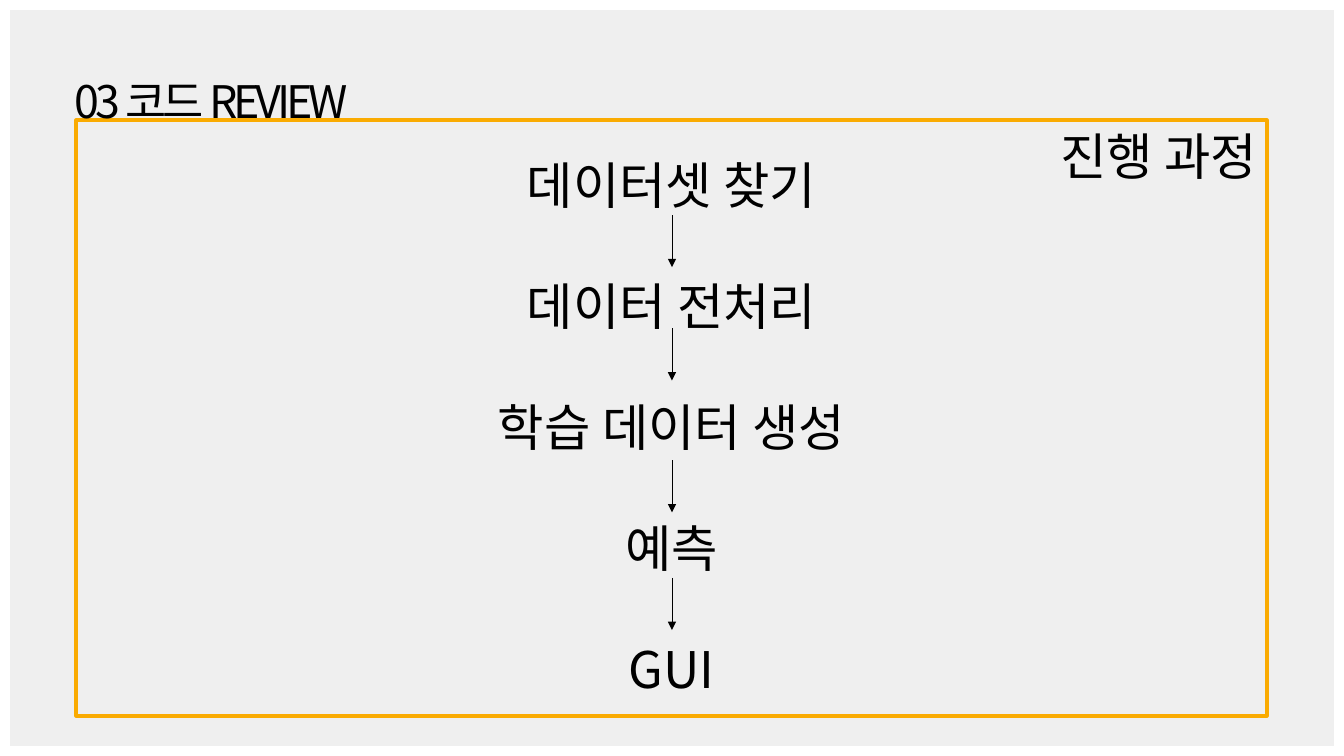
"""Build the process-overview slide of the code review section."""
from dataclasses import dataclass

from lxml.etree import SubElement
from pptx import Presentation
from pptx.dml.color import RGBColor
from pptx.enum.shapes import MSO_CONNECTOR as Connector, MSO_SHAPE as Shape
from pptx.enum.text import MSO_ANCHOR as Anchor, MSO_AUTO_SIZE as AutoSize, PP_ALIGN as Align
from pptx.oxml.ns import qn
from pptx.util import Inches, Pt

BLACK = RGBColor(0x00, 0x00, 0x00)
WHITE = RGBColor(0xFF, 0xFF, 0xFF)
ORANGE = RGBColor(0xFA, 0xAB, 0x01)
PALE_GRAY = RGBColor(0xEF, 0xEF, 0xEF)
FONT = "Noto Sans CJK KR"
WIDTH, HEIGHT = Inches(13.333), Inches(7.5)
COLUMNS, ROWS = 16, 9
LEADING = 1.2
STEPS = ["데이터셋 찾기", "데이터 전처리", "학습 데이터 생성", "예측", "GUI"]
ARROW_ROWS = [2.56, 3.91, 5.48, 6.88]
ARROW_LENGTH = 0.62


@dataclass(frozen=True)
class Area:
    """A rectangle in grid columns and rows."""

    column: float
    row: float
    columns: float
    rows: float

    def box(self) -> tuple[int, int, int, int]:
        """Return left, top, width and height as slide lengths."""
        return (across(self.column), down(self.row), across(self.columns), down(self.rows))


PAGE = Area(0, 0, COLUMNS, ROWS)
PANEL = Area(0.91, 1.43, 14.17, 7.09)
TITLE = Area(0.77, 0.82, 3.56, 0.77)
HEADING = Area(6.36, 1.43, 8.72, 0.85)
PROCESS = Area(0.91, 1.78, 14.17, 6.66)


def across(columns: float) -> int:
    """Convert grid columns to a slide length."""
    return round(WIDTH * columns / COLUMNS)


def down(rows: float) -> int:
    """Convert grid rows to a slide length."""
    return round(HEIGHT * rows / ROWS)


def place(box, area: Area) -> None:
    """Move and size a shape to its area."""
    box.left, box.top, box.width, box.height = area.box()


def write(box, lines: list[str], *, size: float, align: Align, gap: float = 0,
          spacing: int = 0, tab: float = 0) -> None:
    """Fill a text shape with one formatted paragraph per line."""
    frame = box.text_frame
    frame.word_wrap = True
    frame.auto_size = AutoSize.NONE
    frame.vertical_anchor = Anchor.TOP
    for index, line in enumerate(lines):
        para = frame.add_paragraph() if index else frame.paragraphs[0]
        para.alignment = align
        para.line_spacing = Pt(size * LEADING)
        para.space_before = Pt(gap if index else 0)
        para.space_after = Pt(0)
        properties = para._p.get_or_add_pPr()
        properties.set("marL", "0")
        properties.set("indent", "0")
        SubElement(properties, qn("a:buNone"))
        if tab:
            stops = SubElement(properties, qn("a:tabLst"))
            SubElement(stops, qn("a:tab"), pos=str(Inches(tab)), algn="l")
        span = para.add_run()
        span.text = line
        span.font.size = Pt(size)
        span.font.name = FONT
        span.font.color.rgb = BLACK
        run_properties = span.font._element
        if spacing:
            run_properties.set("spc", str(spacing * 100))
        SubElement(run_properties, qn("a:ea"), typeface=FONT)


def add_panel(page) -> None:
    """Draw the orange outline around the process."""
    panel = page.shapes.add_shape(Shape.RECTANGLE, *PANEL.box())
    panel.shadow.inherit = False
    panel.fill.background()
    panel.line.color.rgb = ORANGE
    panel.line.width = Pt(2.75)


def add_border(page) -> None:
    """Draw the white frame along the slide edge."""
    border = page.shapes.add_shape(Shape.FRAME, *PAGE.box())
    border.adjustments[0] = 0.013
    border.shadow.inherit = False
    border.fill.solid()
    border.fill.fore_color.rgb = WHITE
    border.line.fill.background()


def add_arrow(page, row: float) -> None:
    """Draw a thin arrow down the middle column."""
    middle = across(COLUMNS / 2)
    arrow = page.shapes.add_connector(
        Connector.STRAIGHT, middle, down(row), middle, down(row + ARROW_LENGTH))
    arrow.line.color.rgb = BLACK
    arrow.line.width = Pt(0.5)
    SubElement(arrow.line._get_or_add_ln(), qn("a:tailEnd"), type="triangle")
    SubElement(arrow._element.spPr, qn("a:effectLst"))


def bring_forward(box) -> None:
    """Put a shape in front of those drawn so far."""
    box.element.getparent().append(box.element)


def main() -> None:
    """Build and save the deck."""
    deck = Presentation()
    deck.slide_width, deck.slide_height = WIDTH, HEIGHT
    page = deck.slides.add_slide(deck.slide_layouts[1])
    page.background.fill.solid()
    page.background.fill.fore_color.rgb = PALE_GRAY

    add_panel(page)
    title = page.shapes.title
    place(title, TITLE)
    write(title, ["03\t코드 REVIEW"], size=32, align=Align.LEFT, spacing=-3, tab=0.71)
    bring_forward(title)

    add_border(page)
    heading = page.shapes.add_textbox(*HEADING.box())
    write(heading, ["진행 과정"], size=36, align=Align.RIGHT)

    process = page.placeholders[1]
    place(process, PROCESS)
    write(process, STEPS, size=36, align=Align.CENTER, gap=36 * LEADING)
    bring_forward(process)
    for row in ARROW_ROWS:
        add_arrow(page, row)
    deck.save("out.pptx")


if __name__ == "__main__":
    main()
